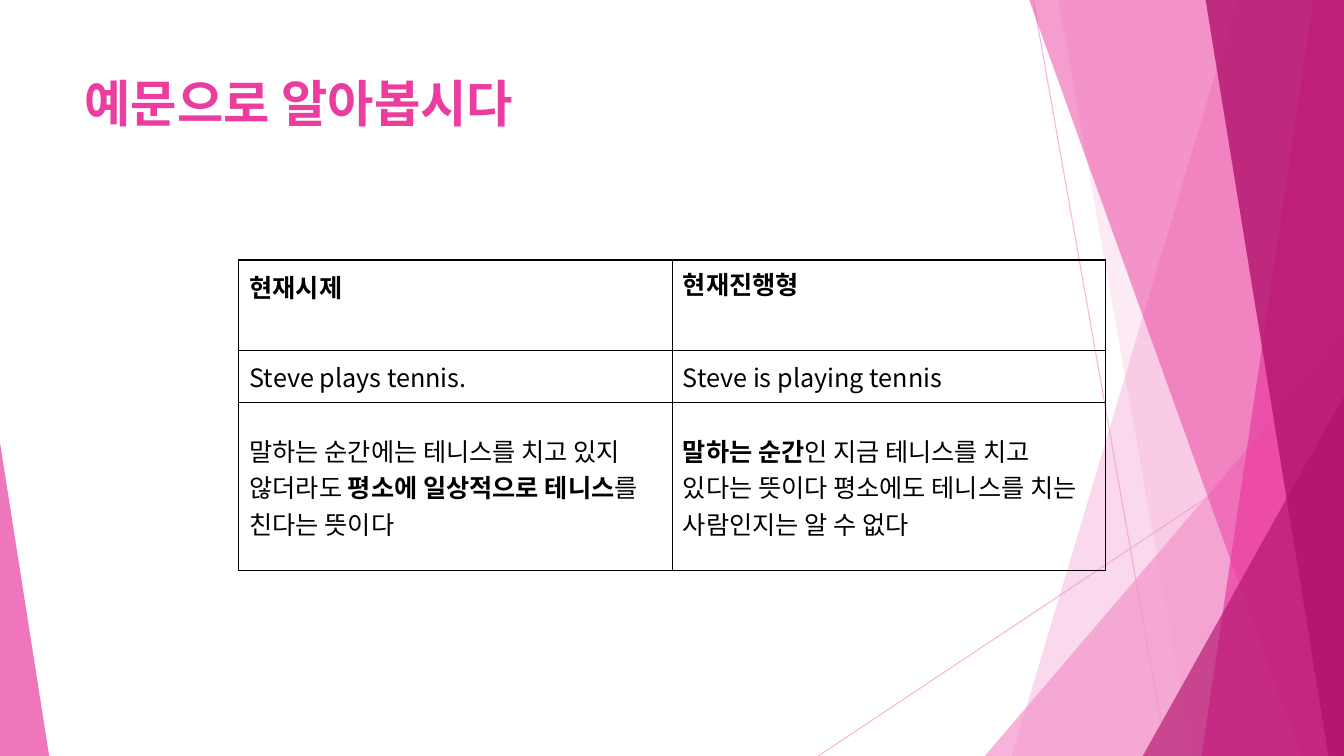
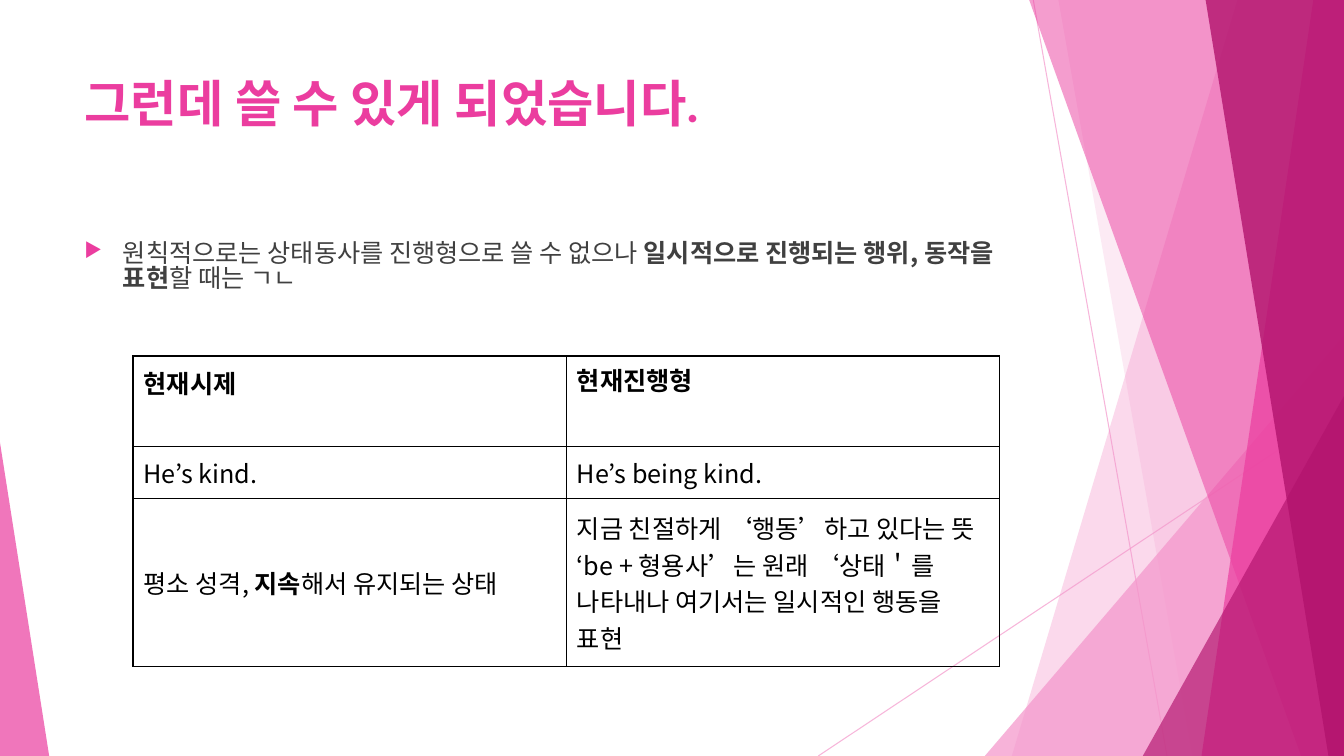
from lxml import etree
from pptx import Presentation
from pptx.dml.color import RGBColor
from pptx.enum.shapes import MSO_CONNECTOR, MSO_SHAPE
from pptx.enum.text import MSO_ANCHOR
from pptx.oxml.ns import qn
from pptx.util import Cm, Pt

STRAIGHT = MSO_CONNECTOR.STRAIGHT
TRIANGLE = MSO_SHAPE.ISOSCELES_TRIANGLE
TOP, MIDDLE = MSO_ANCHOR.TOP, MSO_ANCHOR.MIDDLE

THEME = {
    "light": "F496CB", "pink": "EB3D9F", "deep": "B2136D",
    "title": {"name": "Lato", "size": Pt(36), "color": "EB3D9F"},
    "body": {"name": "Noto Sans CJK KR", "size": Pt(18), "color": "404040"},
    "cell": {"name": "Noto Sans CJK KR", "size": Pt(18), "color": "000000"},
    "east_asian": "Noto Sans CJK KR",
    "border": "000000",
}
WIDTH, HEIGHT = 33.87, 19.05
BLEED = -0.02
LEFT, TEXT_WIDTH = 1.88, 23.88
COLUMN_WIDTH = 10.92
ROW_HEIGHTS = [2.29, 1.3, 4.24]
HEADER = [[[("현재시제", True)]], [[("현재진행형", True)]]]


def write_text(frame, paragraphs, style):
    """Each paragraph is a list of (text, bold) runs."""
    frame.word_wrap = True
    for index, runs in enumerate(paragraphs):
        paragraph = frame.add_paragraph() if index else frame.paragraphs[0]
        for text, bold in runs:
            run = paragraph.add_run()
            run.text = text
            run.font.color.rgb = RGBColor.from_string(style["color"])
            for name, value in {"name": style["name"], "size": style["size"], "bold": bold}.items():
                setattr(run.font, name, value)
            latin = run.font._element.find(qn("a:latin"))
            latin.addnext(etree.Element(qn("a:ea"), typeface=THEME["east_asian"]))


def set_opacity(shape, percent):
    for color in shape.element.iter(qn("a:srgbClr")):
        etree.SubElement(color, qn("a:alpha"), val=str(percent * 1000))


presentation = Presentation()
presentation.slide_width, presentation.slide_height = Cm(WIDTH), Cm(HEIGHT)
layout = presentation.slide_layouts[6]
for placeholder in list(layout.placeholders):
    placeholder.element.getparent().remove(placeholder.element)

# Shared decoration: drawn once, then moved to the layout
canvas = presentation.slides.add_slide(layout)
for ends in [(26.04, 0, 29.41, HEIGHT), (WIDTH, 10.24, 20.62, HEIGHT)]:
    line = canvas.shapes.add_connector(STRAIGHT, *[Cm(value) for value in ends])
    line.line.color.rgb = RGBColor.from_string(THEME["light"])
    line.line.width = Pt(0.75)
    etree.SubElement(line.element.spPr, qn("a:effectLst"))
    set_opacity(line, 70)

# Bands run from a top x to a bottom x; triangles have left, top, width, apex
DECORATION = [
    ("band", (31.19, 25.5), "light", 36),
    ("band", (26.67, 30.05), "light", 20),
    ("triangle", (24.82, 8.46, 9.05, 1), "light", 72),
    ("band", (25.93, 32.79), "pink", 50),
    ("band", (33.1, 30.28), "pink", 70),
    ("band", (30.38, 33.48), "deep", 80),
    ("triangle", (28.8, 9.98, 5.07, 1), "deep", 66),
    ("triangle", (0, 11.15, 1.24, 0), "pink", 70),
]
for kind, geometry, color, opacity in DECORATION:
    if kind == "band":
        top_x, bottom_x = geometry
        builder = canvas.shapes.build_freeform(Cm(top_x), Cm(BLEED))
        corners = [(WIDTH, BLEED), (WIDTH, HEIGHT), (bottom_x, HEIGHT)]
        builder.add_line_segments([(Cm(x), Cm(y)) for x, y in corners], close=True)
        shape = builder.convert_to_shape()
    else:
        left, top, width, apex = geometry
        shape = canvas.shapes.add_shape(TRIANGLE, Cm(left), Cm(top), Cm(width), Cm(HEIGHT - top))
        shape.adjustments[0] = apex
    shape.shadow.inherit = False
    shape.fill.solid()
    shape.fill.fore_color.rgb = RGBColor.from_string(THEME[color])
    shape.line.fill.background()
    set_opacity(shape, opacity)
for shape in list(canvas.shapes):
    layout.shapes.element.append(shape.element)

# Slide contents
SLIDES = [
    {
        "title": "예문으로 알아봅시다",
        "body": None,
        "table_at": (6.02, 6.55),
        "rows": [
            HEADER,
            [[[("Steve plays tennis.", False)]], [[("Steve is playing tennis", False)]]],
            [
                [[("말하는 순간에는 테니스를 치고 있지 않더라도 ", False),
                  ("평소에 일상적으로 테니스", True), ("를 친다는 뜻이다", False)]],
                [[("말하는 순간", True),
                  ("인 지금 테니스를 치고 있다는 뜻이다 평소에도 테니스를 치는 사람인지는 알 수 없다", False)]],
            ],
        ],
    },
    {
        "title": "그런데 쓸 수 있게 되었습니다.",
        "body": [("원칙적으로는 상태동사를 진행형으로 쓸 수 없으나 ", False),
                 ("일시적으로 진행되는 행위, 동작을 표현", True), ("할 때는 ㄱㄴ", False)],
        "table_at": (3.35, 8.97),
        "rows": [
            HEADER,
            [[[("He’s kind.", False)]], [[("He’s being kind.", False)]]],
            [
                [[("평소 성격, ", False), ("지속", True), ("해서 유지되는 상태", False)]],
                [[("지금 친절하게 ‘행동’하고 있다는 뜻", False)],
                 [("‘be + 형용사’는 원래 ‘상태＇를 나타내나 여기서는 일시적인 행동을 표현", False)]],
            ],
        ],
    },
]

for number, content in enumerate(SLIDES):
    slide = presentation.slides.add_slide(layout) if number else canvas

    # Title
    title = slide.shapes.add_textbox(Cm(LEFT), Cm(1.7), Cm(TEXT_WIDTH), Cm(3.66))
    write_text(title.text_frame, [[(content["title"], True)]], THEME["title"])

    # Bulleted body
    if content["body"]:
        body = slide.shapes.add_textbox(Cm(LEFT), Cm(5.99), Cm(TEXT_WIDTH), Cm(10.77))
        write_text(body.text_frame, [content["body"]], THEME["body"])
        paragraph = body.text_frame.paragraphs[0]
        paragraph.space_before, paragraph.line_spacing = Pt(10), 0.82
        properties = paragraph._p.get_or_add_pPr()
        properties.set("marL", str(Cm(0.97)))
        properties.set("indent", str(-Cm(0.97)))
        bullet_color = etree.SubElement(properties, qn("a:buClr"))
        etree.SubElement(bullet_color, qn("a:srgbClr"), val=THEME["pink"])
        etree.SubElement(properties, qn("a:buSzPct"), val="80000")
        etree.SubElement(properties, qn("a:buChar"), char="▶")

    # Comparison table
    left, top = content["table_at"]
    table = slide.shapes.add_table(3, 2, Cm(left), Cm(top), Cm(2 * COLUMN_WIDTH), Cm(sum(ROW_HEIGHTS))).table
    table.first_row = table.horz_banding = False
    for column in table.columns:
        column.width = Cm(COLUMN_WIDTH)
    for row_index, row in enumerate(content["rows"]):
        table.rows[row_index].height = Cm(ROW_HEIGHTS[row_index])
        for column_index, paragraphs in enumerate(row):
            cell = table.cell(row_index, column_index)
            write_text(cell.text_frame, paragraphs, THEME["cell"])
            cell_format = {
                "vertical_anchor": MIDDLE if row_index else TOP,
                "margin_left": Cm(0.27), "margin_right": Cm(0.27),
                "margin_top": Cm(0.13 if row_index or column_index else 0.22),
                "margin_bottom": Cm(0.13),
            }
            for name, value in cell_format.items():
                setattr(cell, name, value)
            properties = cell._tc.get_or_add_tcPr()
            for side in ("lnL", "lnR", "lnT", "lnB"):
                border = etree.SubElement(properties, qn("a:" + side), w=str(Pt(1)))
                border_fill = etree.SubElement(border, qn("a:solidFill"))
                etree.SubElement(border_fill, qn("a:srgbClr"), val=THEME["border"])
            cell.fill.background()

presentation.save("out.pptx")
